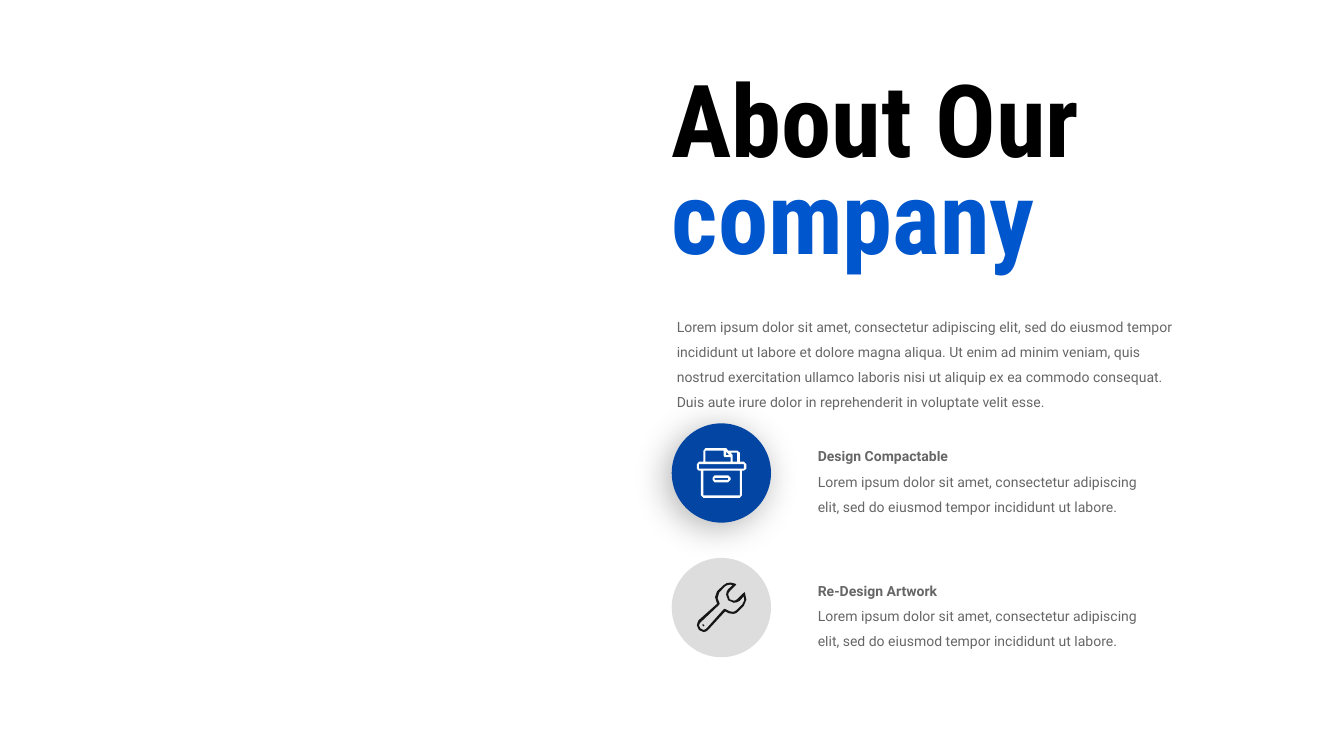
from dataclasses import dataclass
from typing import Any, Optional

from lxml import etree
from pptx import Presentation
from pptx.dml.color import RGBColor
from pptx.enum import shapes, text
from pptx.oxml import ns
from pptx.util import Inches, Pt

Contour = list[tuple[int, int]]


@dataclass(frozen=True)
class Theme:
    heading_font: str = "Roboto Condensed"
    copy_font: str = "Roboto"
    heading_size: int = 144
    copy_size: int = 20
    black: str = "000000"
    accent: str = "0056CC"
    navy: str = "0245A2"
    grey: str = "DDDDDD"
    white: str = "FFFFFF"
    ink: str = "171616"
    copy_alpha: int = 60


@dataclass(frozen=True)
class Span:
    wording: str
    font: str
    size: int
    color: str
    bold: bool = False
    alpha: Optional[int] = None


@dataclass(frozen=True)
class Feature:
    heading: str
    disc_color: str
    icon_color: str
    icon: list[Contour]
    raised: bool


THEME = Theme()
LEFT = 13.33
FEATURES_TOP = 8.4
FEATURE_PITCH = 2.67
DISC_SIZE = 1.97
FEATURE_COPY = (
    "Lorem ipsum dolor sit amet, consectetur adipiscing elit, "
    "sed do eiusmod tempor incididunt ut labore."
)
INTRO = (
    "Lorem ipsum dolor sit amet, consectetur adipiscing elit, sed do eiusmod "
    "tempor incididunt ut labore et dolore magna aliqua. Ut enim ad minim veniam, "
    "quis nostrud exercitation ullamco laboris nisi ut aliquip ex ea commodo "
    "consequat. Duis aute irure dolor in reprehenderit in voluptate velit esse."
)


def box_contour(left: int, top: int, right: int, bottom: int) -> Contour:
    return [(left, top), (right, top), (right, bottom), (left, bottom)]


ARCHIVE_BOX: list[Contour] = [
    [(93, 27), (85, 27), (85, 9), (80, 5), (62, 5), (58, 0), (17, 0), (13, 5),
     (13, 27), (4, 27), (0, 32), (0, 41), (4, 45), (8, 45), (8, 94), (13, 99),
     (85, 99), (89, 94), (89, 45), (93, 45), (98, 41), (98, 32)],
    [(80, 9), (80, 27), (71, 27), (71, 14), (67, 9)],
    [(58, 7), (64, 14), (58, 14)],
    [(17, 5), (53, 5), (53, 16), (55, 18), (67, 18), (67, 27), (17, 27)],
    box_contour(13, 45, 85, 94),
    box_contour(4, 32, 93, 41),
    [(35, 68), (62, 68), (67, 63), (67, 59), (62, 54), (35, 54), (31, 59), (31, 63)],
    box_contour(35, 59, 62, 63),
]
WRENCH: list[Contour] = [
    [(95, 19), (92, 21), (81, 32), (77, 35), (73, 36), (65, 33), (62, 24), (63, 20),
     (66, 16), (62, 13), (59, 18), (58, 24), (62, 35), (73, 40), (79, 39), (85, 36),
     (93, 27), (94, 35), (90, 43), (78, 55), (75, 57), (72, 58), (65, 57), (57, 53),
     (55, 52), (53, 53), (19, 91), (16, 93), (13, 94), (7, 91), (4, 85), (5, 82),
     (7, 79), (44, 44), (45, 42), (45, 41), (41, 31), (44, 20), (55, 8), (60, 5),
     (66, 4), (71, 5), (62, 13), (66, 16), (77, 5), (78, 3), (72, 1), (66, 0),
     (59, 1), (53, 5), (40, 17), (36, 29), (40, 42), (3, 75), (1, 80), (0, 85),
     (4, 94), (13, 98), (18, 97), (22, 94), (56, 57), (64, 61), (72, 62), (77, 61),
     (81, 58), (93, 46), (98, 34)],
    [(11, 83), (11, 85), (13, 87), (15, 85), (13, 83)],
]
FEATURES = [
    Feature("Design Compactable", THEME.navy, THEME.white, ARCHIVE_BOX, True),
    Feature("Re-Design Artwork", THEME.grey, THEME.ink, WRENCH, False),
]


def apply(target: Any, formats: dict[str, Any]) -> None:
    for name, value in formats.items():
        setattr(target, name, value)


def place(shape: Any, left: float, top: float, width: float, height: float) -> None:
    bounds = {"left": left, "top": top, "width": width, "height": height}
    apply(shape, {side: Inches(value) for side, value in bounds.items()})


def copy_span(wording: str, bold: bool = False) -> Span:
    return Span(wording, THEME.copy_font, THEME.copy_size, THEME.black, bold,
                THEME.copy_alpha)


def write(shape: Any, spans: list[Span], spacing: float, inset: float,
          breaks: bool = False) -> None:
    frame = shape.text_frame
    margins = ("margin_left", "margin_top", "margin_right", "margin_bottom")
    apply(frame, dict.fromkeys(margins, Inches(inset)))
    apply(frame, {
        "word_wrap": True,
        "auto_size": text.MSO_AUTO_SIZE.SHAPE_TO_FIT_TEXT,
        "vertical_anchor": text.MSO_ANCHOR.TOP,
    })
    paragraph = frame.paragraphs[0]
    apply(paragraph, {
        "line_spacing": spacing,
        "space_before": Pt(0),
        "alignment": text.PP_ALIGN.LEFT,
    })
    for position, span in enumerate(spans):
        if breaks and position:
            paragraph.add_line_break()
        run = paragraph.add_run()
        run.text = span.wording
        apply(run.font, {"name": span.font, "size": Pt(span.size), "bold": span.bold})
        run.font.color.rgb = RGBColor.from_string(span.color)
        if span.alpha is not None:
            for color in run._r.iter(ns.qn("a:srgbClr")):
                etree.SubElement(color, ns.qn("a:alpha"), val=str(span.alpha * 1000))


def remove_bullet(shape: Any) -> None:
    properties = shape.text_frame.paragraphs[0]._p.get_or_add_pPr()
    apply_indent = {"marL": "0", "indent": "0"}
    for name, value in apply_indent.items():
        properties.set(name, value)
    etree.SubElement(properties, ns.qn("a:buNone"))


def paint(shape: Any, color: str) -> None:
    shape.shadow.inherit = False
    shape.fill.solid()
    shape.fill.fore_color.rgb = RGBColor.from_string(color)
    shape.line.fill.background()


def cast_shadow(shape: Any) -> None:
    effects = shape._element.spPr.find(ns.qn("a:effectLst"))
    shadow = etree.SubElement(
        effects, ns.qn("a:outerShdw"), blurRad=str(Pt(50)), dist=str(Pt(9.8)),
        dir=str(135 * 60000), algn="tr", rotWithShape="0")
    color = etree.SubElement(shadow, ns.qn("a:srgbClr"), val=THEME.black)
    etree.SubElement(color, ns.qn("a:alpha"), val="30000")


def draw_icon(slide: Any, feature: Feature, left: float, top: float) -> None:
    first, *others = feature.icon
    builder = slide.shapes.build_freeform(*first[0], scale=Inches(0.01))
    builder.add_line_segments(first[1:], close=True)
    for contour in others:
        builder.move_to(*contour[0])
        builder.add_line_segments(contour[1:], close=True)
    paint(builder.convert_to_shape(Inches(left), Inches(top)), feature.icon_color)


def draw_feature(slide: Any, feature: Feature, top: float) -> None:
    disc = slide.shapes.add_shape(
        shapes.MSO_SHAPE.OVAL, Inches(LEFT), Inches(top),
        Inches(DISC_SIZE), Inches(DISC_SIZE))
    paint(disc, feature.disc_color)
    if feature.raised:
        cast_shadow(disc)
    caption = slide.shapes.add_textbox(
        Inches(LEFT + 2.8), Inches(top + 0.22), Inches(6.7), Inches(1.53))
    spans = [copy_span(feature.heading, True), copy_span(FEATURE_COPY)]
    write(caption, spans, 1.5, 0.1, breaks=True)
    draw_icon(slide, feature, LEFT + 0.5, top + 0.49)


def main() -> None:
    deck = Presentation()
    apply(deck, {"slide_width": Inches(26.67), "slide_height": Inches(15)})
    slide = deck.slides.add_slide(deck.slide_layouts[1])
    title, intro = slide.placeholders

    place(title, LEFT, 1.59, 8.7, 4.33)
    heading = (THEME.heading_font, THEME.heading_size)
    write(title, [Span("About Our ", *heading, THEME.black, True),
                  Span("company", *heading, THEME.accent, True)], 0.8, 0)

    place(intro, LEFT, 6.05, 10.16, 2.03)
    write(intro, [copy_span(INTRO)], 1.5, 0.1)
    remove_bullet(intro)

    for row, feature in enumerate(FEATURES):
        draw_feature(slide, feature, FEATURES_TOP + row * FEATURE_PITCH)
    deck.save("out.pptx")


if __name__ == "__main__":
    main()
